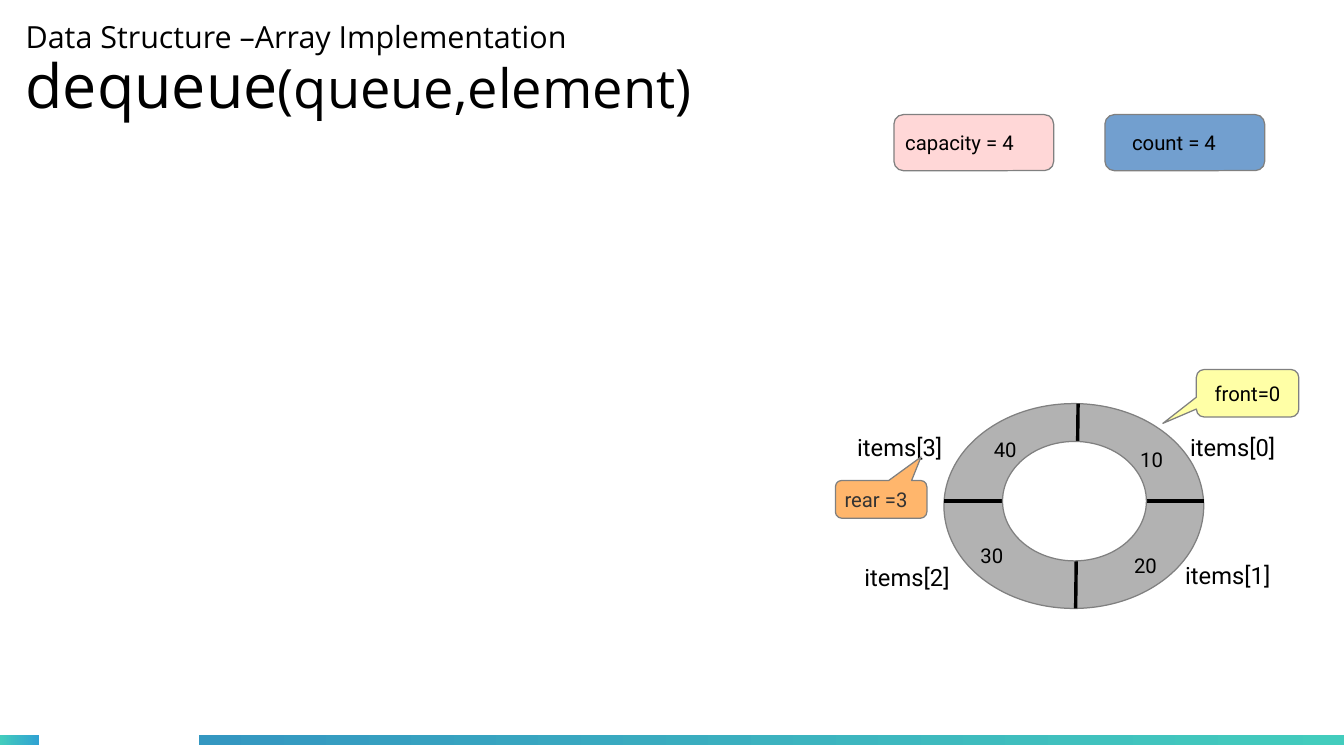
from lxml.etree import SubElement
from pptx import Presentation
from pptx.dml.color import RGBColor
from pptx.enum.shapes import MSO_CONNECTOR, MSO_SHAPE
from pptx.enum.text import MSO_ANCHOR, PP_ALIGN
from pptx.oxml.ns import qn
from pptx.util import Inches, Pt

rgb = RGBColor.from_string

deck = Presentation()
deck.slide_width, deck.slide_height = Inches(11.02), Inches(6.2)
slide = deck.slides.add_slide(deck.slide_layouts[6])


def outlined(kind, box, fill, adjustments=()):
    """Add a filled shape with a grey hairline outline."""
    shape = slide.shapes.add_shape(kind, *map(Inches, box))
    shape.shadow.inherit = False
    shape.fill.solid()
    shape.fill.fore_color.rgb = rgb(fill)
    shape.line.color.rgb = rgb("808080")
    shape.line.width = Pt(0)
    for index, value in enumerate(adjustments):
        shape.adjustments[index] = value
    return shape


def write(frame, text, size=12, font="Roboto", color="000000", paragraph=None,
          align=PP_ALIGN.LEFT, anchor=MSO_ANCHOR.TOP, wrap=False,
          left=0.1, top=0.05):
    """Append a run to the given paragraph, or to the frame's first one."""
    frame.word_wrap = wrap
    frame.vertical_anchor = anchor
    frame.margin_left, frame.margin_right = Inches(left), Inches(min(left, 0.1))
    frame.margin_top = frame.margin_bottom = Inches(top)
    paragraph = paragraph or frame.paragraphs[0]
    paragraph.alignment = align
    run = paragraph.add_run()
    run.text = text
    run.font.size = Pt(size)
    run.font.name = font
    run.font.color.rgb = rgb(color)


# Footer bars
for left, width, start, end in [(0, 0.32, "43CCBD", "30A2D2"),
                                (1.63, 9.4, "3497C1", "43CCBD")]:
    bar = slide.shapes.add_shape(MSO_SHAPE.RECTANGLE, Inches(left), Inches(6.03),
                                 Inches(width), Inches(0.08))
    bar.shadow.inherit = False
    bar.line.fill.background()
    bar.fill.gradient()
    bar.fill.gradient_angle = 0
    for stop, color in zip(bar.fill.gradient_stops, (start, end)):
        stop.color.rgb = rgb(color)

# Title
title = slide.shapes.add_textbox(Inches(0.21), Inches(0.08),
                                 Inches(10.02), Inches(1.02)).text_frame
topic, operation = title.paragraphs[0], title.add_paragraph()
for line, text, size in [(topic, "Data Structure –Array Implementation", 18),
                         (operation, "dequeue", 36),
                         (operation, "(queue,element)", 32)]:
    line.line_spacing = 0.9
    write(title, text, size=size, font="Open Sans", paragraph=line,
          anchor=MSO_ANCHOR.MIDDLE, wrap=True, left=0, top=0)

# Queue state
for left, fill, text, indent in [(7.33, "FFD7D7", "capacity = 4", 0.07),
                                 (9.06, "729FCF", "count = 4", 0.2)]:
    state = outlined(MSO_SHAPE.ROUNDED_RECTANGLE, (left, 0.94, 1.31, 0.46),
                     fill, [0.167])
    write(state.text_frame, text, anchor=MSO_ANCHOR.MIDDLE, left=indent)

# Circular array: ring, dividers, then the hole over them
outlined(MSO_SHAPE.OVAL, (7.74, 3.31, 2.13, 1.68), "B2B2B2")
for ends in [(8.84, 3.31, 8.82, 4.99), (7.74, 4.11, 9.87, 4.11)]:
    divider = slide.shapes.add_connector(MSO_CONNECTOR.STRAIGHT, *map(Inches, ends))
    divider.line.color.rgb = rgb("000000")
    divider.line.width = Pt(0)
    SubElement(divider._element.spPr, qn("a:effectLst"))
outlined(MSO_SHAPE.OVAL, (8.22, 3.62, 1.18, 0.98), "FFFFFF")

# Slot names outside the ring, values on it
slots = [((9.66, 3.5), (9.25, 3.62), "10"),
         ((9.62, 4.55), (9.2, 4.49), "20"),
         ((6.99, 4.57), (7.94, 4.41), "30"),
         ((6.93, 3.5), (8.05, 3.54), "40")]
for index, (name_at, value_at, value) in enumerate(slots):
    for (left, top), width, text, size in [(name_at, 1.1, f"items[{index}]", 14),
                                           (value_at, 0.41, value, 12)]:
        label = slide.shapes.add_textbox(Inches(left), Inches(top),
                                         Inches(width), Inches(0.34))
        write(label.text_frame, text, size=size, wrap=True)

# Pointers
front = outlined(MSO_SHAPE.ROUNDED_RECTANGULAR_CALLOUT, (9.81, 3.03, 0.84, 0.39),
                 "FFFFA6", [-0.827, 0.634, 0.167])
write(front.text_frame, "front=0", align=PP_ALIGN.CENTER, anchor=MSO_ANCHOR.MIDDLE)
rear = outlined(MSO_SHAPE.ROUNDED_RECTANGULAR_CALLOUT, (6.85, 3.94, 0.75, 0.31),
                "FFB66C", [0.436, -1.122, 0.167])
write(rear.text_frame, "rear =3", color="333333", anchor=MSO_ANCHOR.MIDDLE, left=0.06)

deck.save("out.pptx")
